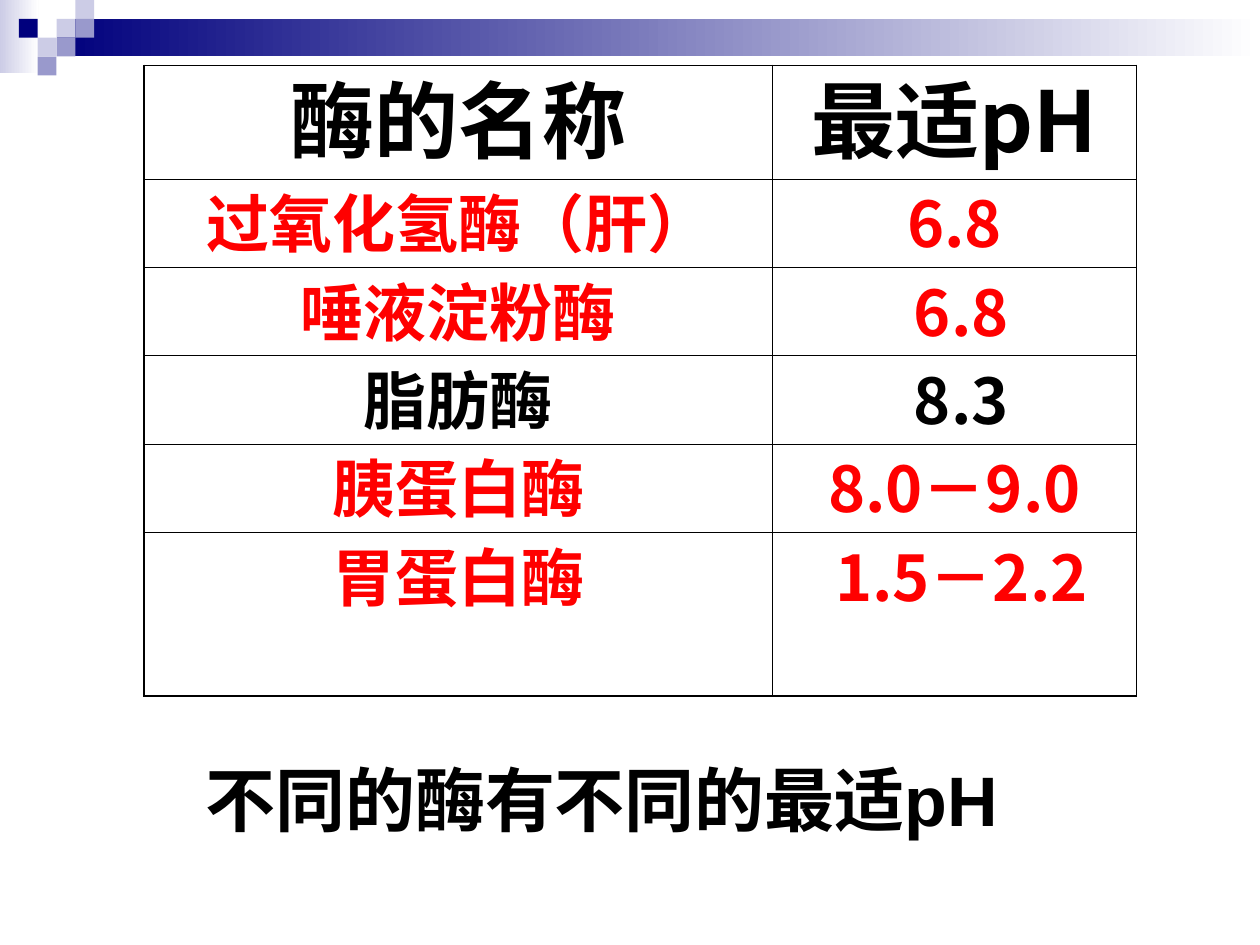
"""Builds a slide with a table of enzymes and their optimum pH."""
from lxml import etree
from pptx import Presentation
from pptx.dml.color import RGBColor
from pptx.enum.shapes import MSO_SHAPE
from pptx.enum.text import MSO_ANCHOR, PP_ALIGN
from pptx.oxml.ns import qn
from pptx.util import Cm, Pt

RECTANGLE = MSO_SHAPE.RECTANGLE
CENTER, LEFT = PP_ALIGN.CENTER, PP_ALIGN.LEFT
MIDDLE, TOP = MSO_ANCHOR.MIDDLE, MSO_ANCHOR.TOP
BLACK, RED, WHITE = "000000", "FF0000", "FFFFFF"
NAVY, VIOLET, PALE = "00007D", "9999CC", "CCCCE6"
CJK_FONT = "Noto Sans CJK SC"
UNIT = 0.38
OUTER, INNER = 1.08, 0.45

SQUARES = [(3, 1, PALE), (4, 0, PALE), (4, 1, VIOLET), (2, 2, PALE),
           (1, 1, NAVY), (3, 2, VIOLET), (2, 3, VIOLET)]
COLUMN_WIDTHS = [12.67, 7.34]
ROW_HEIGHTS = [2.29, 1.78, 1.78, 1.78, 1.78, 3.3]
ENZYMES = [
    ("酶的名称", "最适pH", BLACK, 0),
    ("过氧化氢酶（肝）", "6.8", RED, 0),
    ("唾液淀粉酶", "6.8", RED, 0.28),
    ("脂肪酶", "8.3", BLACK, 0.28),
    ("胰蛋白酶", "8.0－9.0", RED, 0),
    ("胃蛋白酶", "1.5－2.2", RED, 0.28),
]


def color(value):
    return RGBColor.from_string(value)


def write(frame, text, size, ink=BLACK, font=CJK_FONT, align=LEFT, line=None):
    paragraph = frame.paragraphs[0]
    paragraph.alignment = align
    paragraph.line_spacing = line
    run = paragraph.add_run()
    run.text = text
    run.font.size = Pt(size)
    run.font.bold = True
    run.font.name = font
    run.font.color.rgb = color(ink)
    properties = run.font._element
    east_asian = etree.SubElement(properties, qn("a:ea"))
    east_asian.set("typeface", CJK_FONT)


def add_border(cell, side, width):
    border = etree.SubElement(cell._tc.get_or_add_tcPr(), qn(f"a:ln{side}"))
    border.set("w", str(Pt(width)))
    fill = etree.SubElement(border, qn("a:solidFill"))
    etree.SubElement(fill, qn("a:srgbClr")).set("val", BLACK)


class EnzymeSlide:
    """Holds the style and the current slide."""

    def __init__(self, presentation):
        self.slide = presentation.slides.add_slide(presentation.slide_layouts[6])

    def rectangle(self, left, top, width, height, start, end=None):
        shape = self.slide.shapes.add_shape(
            RECTANGLE, Cm(left), Cm(top), Cm(width), Cm(height))
        shape.shadow.inherit = False
        shape.line.fill.background()
        if end is None:
            shape.fill.solid()
            shape.fill.fore_color.rgb = color(start)
            return
        shape.fill.gradient()
        shape.fill.gradient_angle = 0
        for stop, value in zip(shape.fill.gradient_stops, (start, end)):
            stop.color.rgb = color(value)

    def table(self, left, top):
        table = self.slide.shapes.add_table(
            len(ENZYMES), len(COLUMN_WIDTHS), Cm(left), Cm(top),
            Cm(sum(COLUMN_WIDTHS)), Cm(sum(ROW_HEIGHTS))).table
        table.first_row = table.horz_banding = False
        for column, width in zip(table.columns, COLUMN_WIDTHS):
            column.width = Cm(width)
        for index, (name, optimum, ink, indent) in enumerate(ENZYMES):
            table.rows[index].height = Cm(ROW_HEIGHTS[index])
            size, line = (36, Pt(46)) if index else (48, Pt(60))
            for position, text in enumerate((name, optimum)):
                cell = table.cell(index, position)
                self.format_cell(cell, index, position)
                if position:
                    cell.margin_left = Cm(0.25 + indent)
                write(cell.text_frame, text, size, ink, align=CENTER, line=line)

    def format_cell(self, cell, row, column):
        edges = {"L": column == 0, "R": column == len(COLUMN_WIDTHS) - 1,
                 "T": row == 0, "B": row == len(ENZYMES) - 1}
        for side, is_outer in edges.items():
            add_border(cell, side, OUTER if is_outer else INNER)
        cell.fill.background()
        cell.vertical_anchor = TOP
        cell.margin_left = cell.margin_right = Cm(0.25)
        cell.margin_top, cell.margin_bottom = Cm(0.13), 0

    def text_box(self, left, top, width, height, text, **style):
        frame = self.slide.shapes.add_textbox(
            Cm(left), Cm(top), Cm(width), Cm(height)).text_frame
        frame.word_wrap = True
        frame.vertical_anchor = MIDDLE
        write(frame, text, **style)


def main():
    presentation = Presentation()
    presentation.slide_width, presentation.slide_height = Cm(25.4), Cm(19.05)
    page = EnzymeSlide(presentation)
    page.rectangle(0, 0, 0.78, 1.48, PALE, WHITE)
    page.rectangle(3 * UNIT, UNIT, 25.4 - 3 * UNIT, 2 * UNIT, NAVY, WHITE)
    for column, row, fill in SQUARES:
        page.rectangle(column * UNIT, row * UNIT, UNIT, UNIT, fill)
    page.table(2.9, 1.32)
    page.text_box(3.89, 15.11, 18.8, 1.96, "不同的酶有不同的最适pH",
                  size=40, font="Arial")
    presentation.save("out.pptx")


if __name__ == "__main__":
    main()
